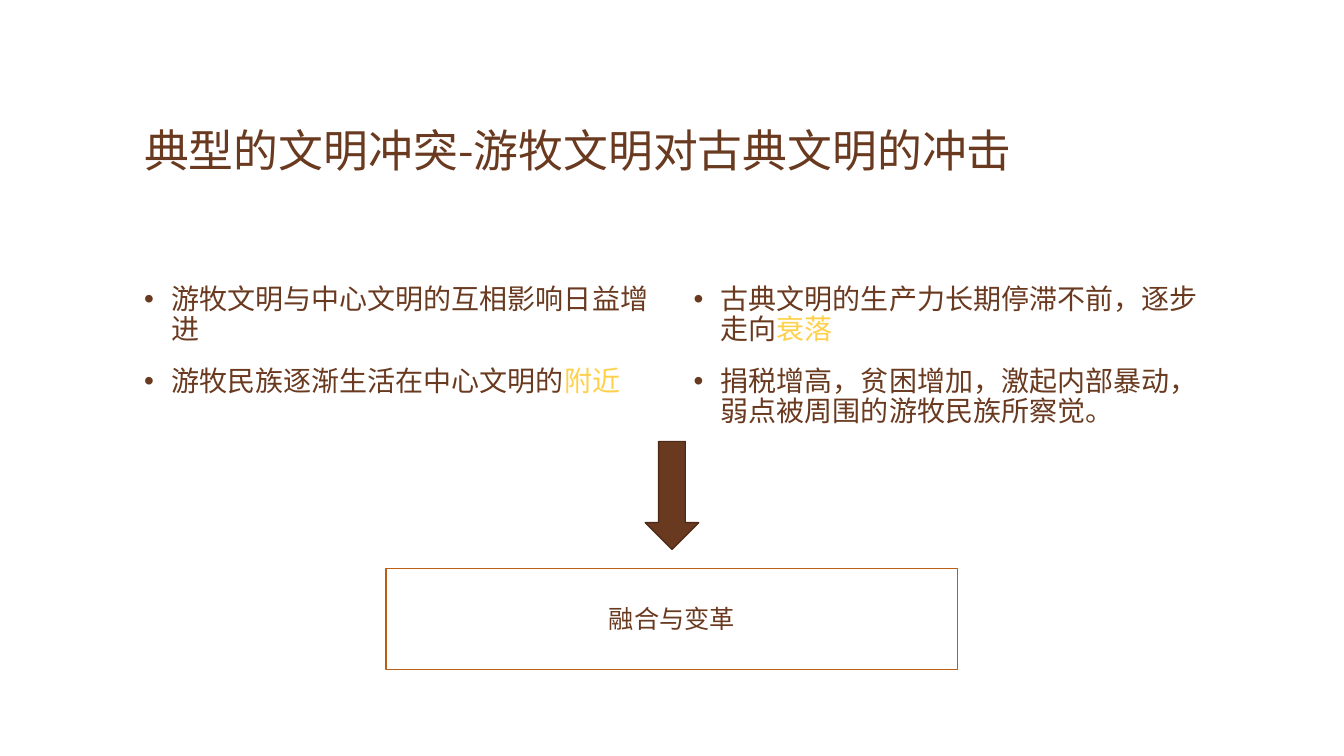
from dataclasses import dataclass

from lxml.etree import SubElement
from pptx import Presentation
from pptx.dml.color import RGBColor
from pptx.enum.shapes import MSO_SHAPE
from pptx.enum.text import MSO_ANCHOR, PP_ALIGN
from pptx.oxml.ns import qn
from pptx.util import Inches, Pt


@dataclass(frozen=True)
class Theme:
    brown: RGBColor = RGBColor(0x6A, 0x3A, 0x20)
    dark_brown: RGBColor = RGBColor(0x4E, 0x2B, 0x18)
    orange: RGBColor = RGBColor(0xB9, 0x5E, 0x14)
    yellow: RGBColor = RGBColor(0xFF, 0xD1, 0x4B)
    white: RGBColor = RGBColor(0xFF, 0xFF, 0xFF)
    chinese_font: str = "Noto Sans CJK SC"
    latin_font: str = "Cambria"
    title_size: Pt = Pt(32)
    body_size: Pt = Pt(20)
    result_size: Pt = Pt(18)


theme = Theme()


def add_text(paragraph, text, size, color=theme.brown, font=theme.chinese_font):
    run = paragraph.add_run()
    run.text = text
    for name, value in {"name": font, "size": size, "bold": False}.items():
        setattr(run.font, name, value)
    run.font.color.rgb = color
    SubElement(run.font._element, qn("a:ea"), typeface=theme.chinese_font)


def add_filled_shape(kind, left, top, width, height, fill, line):
    shape = slide.shapes.add_shape(
        kind, Inches(left), Inches(top), Inches(width), Inches(height))
    shape.shadow.inherit = False
    shape.fill.solid()
    shape.fill.fore_color.rgb = fill
    shape.line.color.rgb = line
    shape.line.width = Pt(1)
    return shape


presentation = Presentation()
presentation.slide_width = Inches(13.33)
presentation.slide_height = Inches(7.5)
slide = presentation.slides.add_slide(presentation.slide_layouts[5])

# Title
title = slide.shapes.title
title_place = {"left": 1.33, "top": 0.47, "width": 10.66, "height": 1.28}
for name, value in title_place.items():
    setattr(title, name, Inches(value))
title.text_frame.vertical_anchor = MSO_ANCHOR.BOTTOM
title.text_frame.margin_bottom = Inches(0)
title_paragraph = title.text_frame.paragraphs[0]
title_paragraph.alignment = PP_ALIGN.LEFT
add_text(title_paragraph, "典型的文明冲突-游牧文明对古典文明的冲击", theme.title_size)

# Two bulleted columns: each bullet is plain text and a highlighted ending
columns = [
    (1.33, [("游牧文明与中心文明的互相影响日益增进", ""),
            ("游牧民族逐渐生活在中心文明的", "附近")]),
    (6.78, [("古典文明的生产力长期停滞不前，逐步走向", "衰落"),
            ("捐税增高，贫困增加，激起内部暴动，弱点被周围的游牧民族所察觉。", "")]),
]
bullet_indent = Inches(0.27)
for left, bullets in columns:
    column = slide.shapes.add_textbox(
        Inches(left), Inches(2.75), Inches(5.22), Inches(3.89))
    frame = column.text_frame
    frame.word_wrap = True
    frame.margin_top = Inches(0.08)
    for index, (plain, highlight) in enumerate(bullets):
        paragraph = frame.add_paragraph() if index else frame.paragraphs[0]
        paragraph.line_spacing = Pt(21.4)
        paragraph.space_before = Pt(16 if index else 0)
        properties = paragraph._p.get_or_add_pPr()
        properties.set("marL", str(bullet_indent))
        properties.set("indent", str(-bullet_indent))
        bullet_color = SubElement(properties, qn("a:buClr"))
        SubElement(bullet_color, qn("a:srgbClr"), val=str(theme.brown))
        SubElement(properties, qn("a:buFont"), typeface="Arial")
        SubElement(properties, qn("a:buChar"), char="•")
        add_text(paragraph, plain, theme.body_size)
        if highlight:
            add_text(paragraph, highlight, theme.body_size, theme.yellow)

# Arrow down to the result
add_filled_shape(MSO_SHAPE.DOWN_ARROW, 6.4, 4.38, 0.53, 1.07,
                 theme.brown, theme.dark_brown)

# Result box
result = add_filled_shape(MSO_SHAPE.RECTANGLE, 3.83, 5.64, 5.67, 1,
                          theme.white, theme.orange)
result.text_frame.vertical_anchor = MSO_ANCHOR.MIDDLE
result_paragraph = result.text_frame.paragraphs[0]
result_paragraph.alignment = PP_ALIGN.CENTER
add_text(result_paragraph, "融合与变革", theme.result_size, font=theme.latin_font)

presentation.save("out.pptx")
